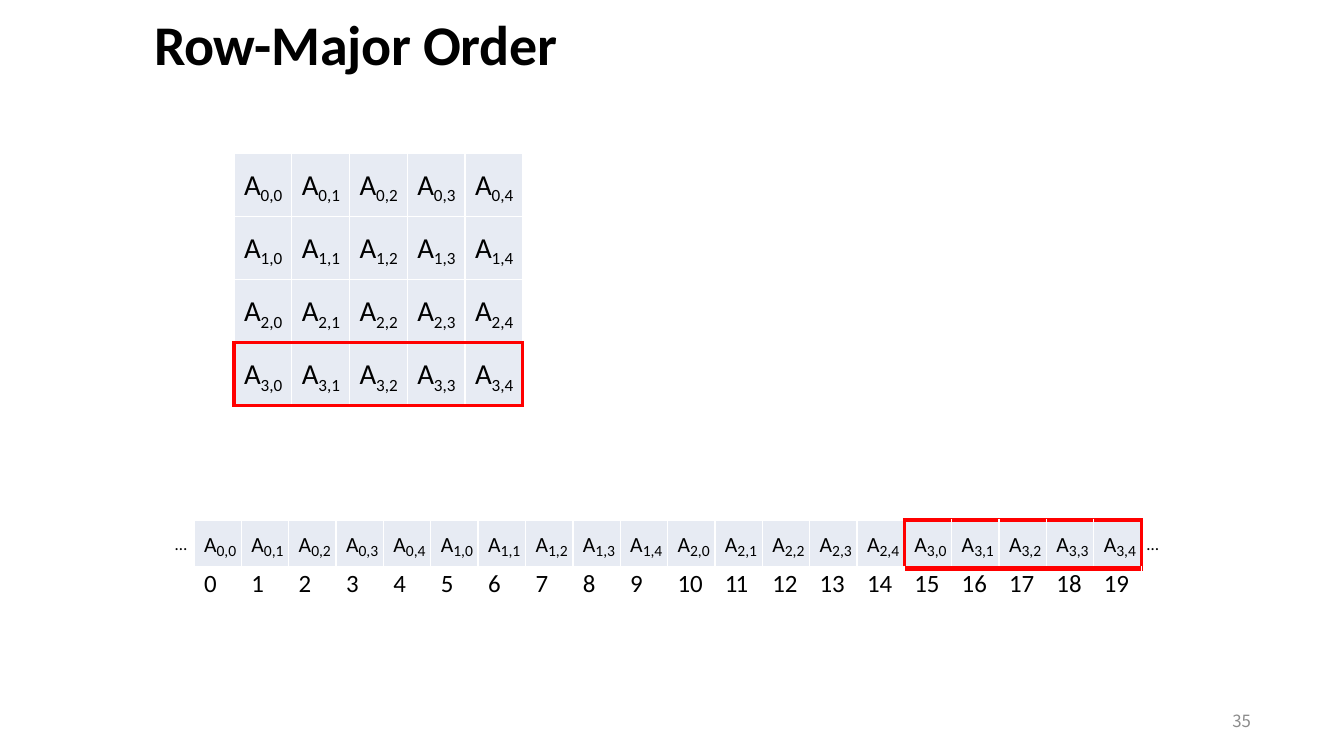
from dataclasses import dataclass

from lxml.etree import SubElement
from pptx import Presentation
from pptx.dml.color import RGBColor
from pptx.enum.text import MSO_ANCHOR, MSO_AUTO_SIZE, PP_ALIGN
from pptx.oxml.ns import qn
from pptx.util import Emu, Pt

EMU_PER_PX = 914400 / 112
MATRIX_ROWS, MATRIX_COLUMNS = 4, 5
HIGHLIGHTED_ROW = 3


@dataclass(frozen=True)
class Theme:
    font: str = "Calibri"
    number_font: str = "Noto Sans CJK SC"
    text: str = "000000"
    muted: str = "8C8C8C"
    cell: str = "E7EBF3"
    grid: str = "FFFFFF"
    highlight: str = "FF0000"
    title_size: float = 36
    index_size: float = 16
    ellipsis_size: float = 11
    number_size: float = 10.8


@dataclass(frozen=True)
class Box:
    left: int
    top: int
    width: int
    height: int

    def emu(self):
        return [px(value) for value in (self.left, self.top, self.width, self.height)]


@dataclass(frozen=True)
class Border:
    color: str
    width: float


@dataclass(frozen=True)
class ElementStyle:
    letter_size: float
    subscript_size: float


THEME = Theme()
GRID = Border(THEME.grid, 1)
STRIP_BASE = Border(THEME.grid, 3.16)
HIGHLIGHT = Border(THEME.highlight, 2.25)
STRIP_HIGHLIGHT_BASE = Border(THEME.highlight, 3.79)
MATRIX_STYLE = ElementStyle(32, 11)
STRIP_STYLE = ElementStyle(24, 10)
CELL_INDENT = 10


def px(value: int) -> Emu:
    return Emu(round(value * EMU_PER_PX))


def format_run(run, size: float, color: str = THEME.text, font: str = THEME.font) -> None:
    run.font.size = Pt(size)
    run.font.name = font
    run.font.color.rgb = RGBColor.from_string(color)


def set_run_attribute(run, name: str, value: int) -> None:
    """Set spc (hundredths of a point) or baseline (thousandths of a percent)."""
    run._r.get_or_add_rPr().set(name, str(value))


def clear_margins(text_frame) -> None:
    text_frame.margin_left = text_frame.margin_right = 0
    text_frame.margin_top = text_frame.margin_bottom = 0


def indent_paragraph(paragraph, indent: int) -> None:
    properties = paragraph._p.get_or_add_pPr()
    properties.set("marL", str(px(indent)))
    properties.set("indent", "0")


def style_cell(cell, left: Border = GRID, right: Border = GRID,
               top: Border = GRID, bottom: Border = GRID) -> None:
    cell.margin_left = cell.margin_right = cell.margin_top = cell.margin_bottom = 0
    properties = cell._tc.get_or_add_tcPr()
    for tag, border in (("lnL", left), ("lnR", right), ("lnT", top), ("lnB", bottom)):
        line = SubElement(properties, qn(f"a:{tag}"), w=str(Pt(border.width)))
        fill = SubElement(line, qn("a:solidFill"))
        SubElement(fill, qn("a:srgbClr"), val=border.color)
    indent_paragraph(cell.text_frame.paragraphs[0], CELL_INDENT)


def write_element(cell, row: int, column: int, style: ElementStyle) -> None:
    """Write A with its row and column as a subscript on a filled cell."""
    cell.fill.solid()
    cell.fill.fore_color.rgb = RGBColor.from_string(THEME.cell)
    cell.vertical_anchor = MSO_ANCHOR.MIDDLE
    paragraph = cell.text_frame.paragraphs[0]
    letter = paragraph.add_run()
    letter.text = "A"
    format_run(letter, style.letter_size)
    set_run_attribute(letter, "baseline", 13000)
    subscript = paragraph.add_run()
    subscript.text = f"{row},{column}"
    format_run(subscript, style.subscript_size)


def write_index(cell, index: int) -> None:
    cell.fill.background()
    paragraph = cell.text_frame.paragraphs[0]
    paragraph.text = str(index)
    run = paragraph.runs[0]
    format_run(run, THEME.index_size)
    if index == 11:
        set_run_attribute(run, "spc", -120)


def add_grid(slide, rows: int, columns: int, box: Box):
    table = slide.shapes.add_table(rows, columns, *box.emu()).table
    table.first_row = table.horz_banding = False
    for column in table.columns:
        column.width = px(box.width) // columns
    for row in table.rows:
        row.height = px(box.height) // rows
    return table


def add_matrix(slide, box: Box) -> None:
    table = add_grid(slide, MATRIX_ROWS, MATRIX_COLUMNS, box)
    for row in range(MATRIX_ROWS):
        marked = row == HIGHLIGHTED_ROW
        for column in range(MATRIX_COLUMNS):
            cell = table.cell(row, column)
            style_cell(
                cell,
                left=HIGHLIGHT if marked and column == 0 else GRID,
                right=HIGHLIGHT if marked and column == MATRIX_COLUMNS - 1 else GRID,
                top=HIGHLIGHT if marked else GRID,
                bottom=HIGHLIGHT if row >= HIGHLIGHTED_ROW - 1 else GRID,
            )
            write_element(cell, row, column, MATRIX_STYLE)


def add_memory_strip(slide, box: Box) -> None:
    """Draw the elements in memory order above their indexes."""
    count = MATRIX_ROWS * MATRIX_COLUMNS
    first_marked = HIGHLIGHTED_ROW * MATRIX_COLUMNS
    last_marked = first_marked + MATRIX_COLUMNS - 1
    table = add_grid(slide, 2, count, box)
    for index in range(count):
        marked = first_marked <= index <= last_marked
        base = STRIP_HIGHLIGHT_BASE if marked else STRIP_BASE
        element, label = table.cell(0, index), table.cell(1, index)
        style_cell(
            element,
            left=HIGHLIGHT if index == first_marked else GRID,
            right=HIGHLIGHT if index in (first_marked - 1, last_marked) else GRID,
            top=HIGHLIGHT if marked else GRID,
            bottom=base,
        )
        write_element(element, *divmod(index, MATRIX_COLUMNS), STRIP_STYLE)
        style_cell(label, top=base)
        write_index(label, index)


def add_text(slide, box: Box, text: str, size: float, color: str = THEME.text,
             font: str = THEME.font, align: PP_ALIGN = PP_ALIGN.LEFT,
             anchor: MSO_ANCHOR = MSO_ANCHOR.TOP) -> None:
    text_frame = slide.shapes.add_textbox(*box.emu()).text_frame
    clear_margins(text_frame)
    text_frame.word_wrap = True
    text_frame.auto_size = MSO_AUTO_SIZE.SHAPE_TO_FIT_TEXT
    text_frame.vertical_anchor = anchor
    text_frame.text = text
    paragraph = text_frame.paragraphs[0]
    paragraph.alignment = align
    format_run(paragraph.runs[0], size, color, font)


def set_title(slide, box: Box, text: str, indent: int) -> None:
    title = slide.shapes.title
    title.left, title.top, title.width, title.height = box.emu()
    text_frame = title.text_frame
    clear_margins(text_frame)
    text_frame.auto_size = MSO_AUTO_SIZE.SHAPE_TO_FIT_TEXT
    text_frame.vertical_anchor = MSO_ANCHOR.MIDDLE
    text_frame.text = text
    paragraph = text_frame.paragraphs[0]
    indent_paragraph(paragraph, indent)
    paragraph.alignment = PP_ALIGN.LEFT
    paragraph.line_spacing = 0.9
    run = paragraph.runs[0]
    format_run(run, THEME.title_size)
    run.font.bold = True
    set_run_attribute(run, "spc", -20)


def main() -> None:
    presentation = Presentation()
    presentation.slide_width, presentation.slide_height = px(1344), px(756)
    slide = presentation.slides.add_slide(presentation.slide_layouts[5])
    set_title(slide, Box(-121, 16, 743, 62), "Row-Major Order", indent=275)
    for left in (175, 1147):
        add_text(slide, Box(left, 533, 19, 21), "…", THEME.ellipsis_size)
    add_matrix(slide, Box(234, 153, 289, 253))
    add_memory_strip(slide, Box(194, 520, 948, 97))
    add_text(slide, Box(949, 701, 302, 40), "35", THEME.number_size, THEME.muted,
             THEME.number_font, PP_ALIGN.RIGHT, MSO_ANCHOR.MIDDLE)
    presentation.save("out.pptx")


if __name__ == "__main__":
    main()
